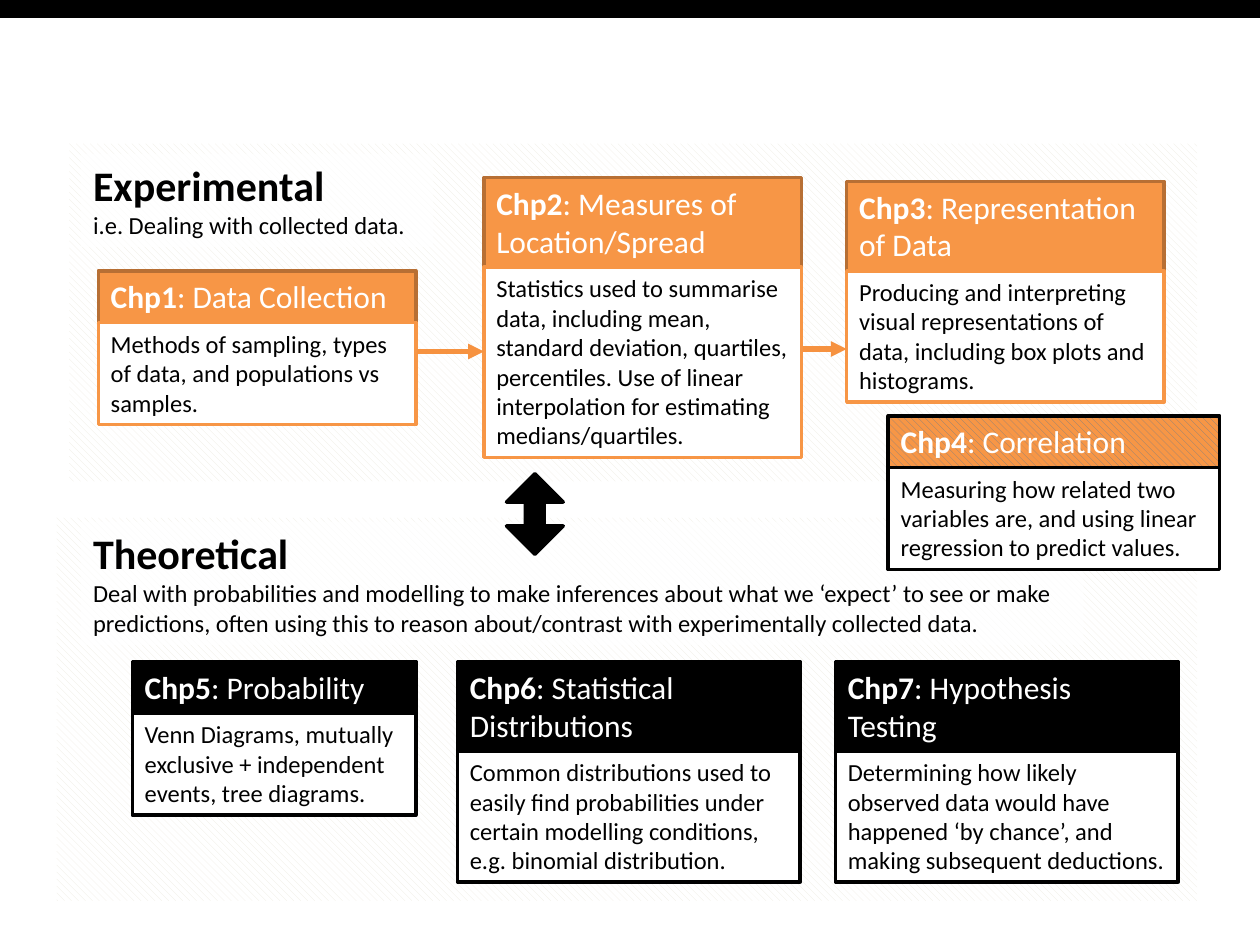
from lxml import etree
from pptx import Presentation
from pptx.dml.color import RGBColor
from pptx.enum.dml import MSO_PATTERN
from pptx.enum.shapes import MSO_CONNECTOR, MSO_SHAPE
from pptx.enum.text import MSO_ANCHOR, MSO_AUTO_SIZE, PP_ALIGN
from pptx.oxml.ns import qn
from pptx.util import Inches, Pt

RECTANGLE = MSO_SHAPE.RECTANGLE
UP_DOWN_ARROW = MSO_SHAPE.UP_DOWN_ARROW
STRAIGHT = MSO_CONNECTOR.STRAIGHT
DIAGONAL = MSO_PATTERN.WIDE_DOWNWARD_DIAGONAL

FONT = "Calibri"
BLACK, WHITE = "000000", "FFFFFF"
ORANGE, DARK_ORANGE, ARROW_ORANGE = "F79646", "B76F34", "F69240"
CREAM, GRAY = "EEECE1", "808080"

SECTIONS = [
    {"panel": (0.55, 1.14, 8.95, 2.68), "caption": (0.64, 1.22, 2.8, 0.74),
     "title": "Experimental", "detail": "i.e. Dealing with collected data."},
    {"panel": (0.45, 4.11, 9.05, 3.04), "caption": (0.64, 4.14, 7.96, 0.98),
     "title": "Theoretical",
     "detail": "Deal with probabilities and modelling to make inferences about what we "
               "‘expect’ to see or make predictions, often using this to reason "
               "about/contrast with experimentally collected data."},
]

STYLES = {
    "experimental": {"fill": ORANGE, "header_line": DARK_ORANGE, "body_line": ORANGE},
    "theoretical": {"fill": BLACK, "header_line": BLACK, "body_line": BLACK},
    "both": {"fill": (GRAY, ORANGE), "header_line": BLACK, "body_line": BLACK},
}

CHAPTERS = [
    ("Chp1", "Data Collection", 1,
     "Methods of sampling, types of data, and populations vs samples.", 3,
     "experimental", 0.78, 2.15, 2.52),
    ("Chp2", "Measures of Location/Spread", 2,
     "Statistics used to summarise data, including mean, standard deviation, quartiles, "
     "percentiles. Use of linear interpolation for estimating medians/quartiles.", 6,
     "experimental", 3.84, 1.41, 2.52),
    ("Chp3", "Representation of Data", 2,
     "Producing and interpreting visual representations of data, including box plots "
     "and histograms.", 4,
     "experimental", 6.72, 1.44, 2.52),
    ("Chp5", "Probability", 1,
     "Venn Diagrams, mutually exclusive + independent events, tree diagrams.", 3,
     "theoretical", 1.05, 5.25, 2.25),
    ("Chp6", "Statistical Distributions", 2,
     "Common distributions used to easily find probabilities under certain modelling "
     "conditions, e.g. binomial distribution.", 4,
     "theoretical", 3.63, 5.25, 2.72),
    ("Chp7", "Hypothesis Testing", 2,
     "Determining how likely observed data would have happened ‘by chance’, and making "
     "subsequent deductions.", 4,
     "theoretical", 6.63, 5.25, 2.72),
    ("Chp4", "Correlation", 1,
     "Measuring how related two variables are, and using linear regression to predict "
     "values.", 3,
     "both", 7.05, 3.3, 2.63),
]

ARROWS = [(3.31, 3.84, 2.79), (6.37, 6.72, 2.77)]


def color(value):
    return RGBColor.from_string(value)


def add_block(slide, box, fill, line=None, preset=RECTANGLE):
    shape = slide.shapes.add_shape(preset, *map(Inches, box))
    shape.shadow.inherit = False
    if isinstance(fill, tuple):
        shape.fill.patterned()
        shape.fill.pattern = DIAGONAL
        shape.fill.fore_color.rgb = color(fill[0])
        shape.fill.back_color.rgb = color(fill[1])
    else:
        shape.fill.solid()
        shape.fill.fore_color.rgb = color(fill)
    if line:
        shape.line.color.rgb = color(line)
        shape.line.width = Pt(2)
    else:
        shape.line.fill.background()
    return shape


def write(shape, paragraphs, text_color):
    frame = shape.text_frame
    frame.word_wrap = True
    frame.auto_size = MSO_AUTO_SIZE.SHAPE_TO_FIT_TEXT
    frame.vertical_anchor = MSO_ANCHOR.TOP
    for index, runs in enumerate(paragraphs):
        paragraph = frame.add_paragraph() if index else frame.paragraphs[0]
        paragraph.alignment = PP_ALIGN.LEFT
        for text, size, bold in runs:
            run = paragraph.add_run()
            run.text = text
            run.font.name = FONT
            run.font.size = Pt(size)
            run.font.bold = bold
            run.font.color.rgb = color(text_color)


def add_section(slide, section):
    add_block(slide, section["panel"], (CREAM, WHITE))
    caption = add_block(slide, section["caption"], WHITE)
    fill_color = caption.fill._xPr.find(qn("a:solidFill"))[0]
    etree.SubElement(fill_color, qn("a:alpha")).set("val", "72000")
    write(caption, [[(section["title"], 24, True)], [(section["detail"], 14, False)]], BLACK)


def add_chapter(slide, number, title, title_lines, detail, detail_lines,
                style_name, left, top, width):
    style = STYLES[style_name]
    header_height = round(0.1 + 0.305 * title_lines, 2)
    body_height = round(0.11 + 0.233 * detail_lines, 2)
    header = add_block(slide, (left, top, width, header_height),
                       style["fill"], style["header_line"])
    write(header, [[(number, 18, True), (": " + title, 18, False)]], WHITE)
    body = add_block(slide, (left, top + header_height, width, body_height),
                     WHITE, style["body_line"])
    write(body, [[(detail, 14, False)]], BLACK)


def add_arrow(slide, start, end, height):
    arrow = slide.shapes.add_connector(STRAIGHT, *map(Inches, (start, height, end, height)))
    arrow.line.color.rgb = color(ARROW_ORANGE)
    arrow.line.width = Pt(3)
    etree.SubElement(arrow.line._get_or_add_ln(), qn("a:tailEnd")).set("type", "triangle")
    etree.SubElement(arrow._element.spPr, qn("a:effectLst"))


def main():
    presentation = Presentation()
    presentation.slide_width = Inches(10)
    presentation.slide_height = Inches(7.5)
    slide = presentation.slides.add_slide(presentation.slide_layouts[6])
    for section in SECTIONS:
        add_section(slide, section)
    link = add_block(slide, (4.02, 3.76, 0.45, 0.64), BLACK, BLACK, UP_DOWN_ARROW)
    link.adjustments[0] = 0.5
    link.adjustments[1] = 0.33
    for chapter in CHAPTERS:
        add_chapter(slide, *chapter)
    for arrow in ARROWS:
        add_arrow(slide, *arrow)
    add_block(slide, (0, 0, 10, 0.13), BLACK, BLACK)
    presentation.save("out.pptx")


if __name__ == "__main__":
    main()
